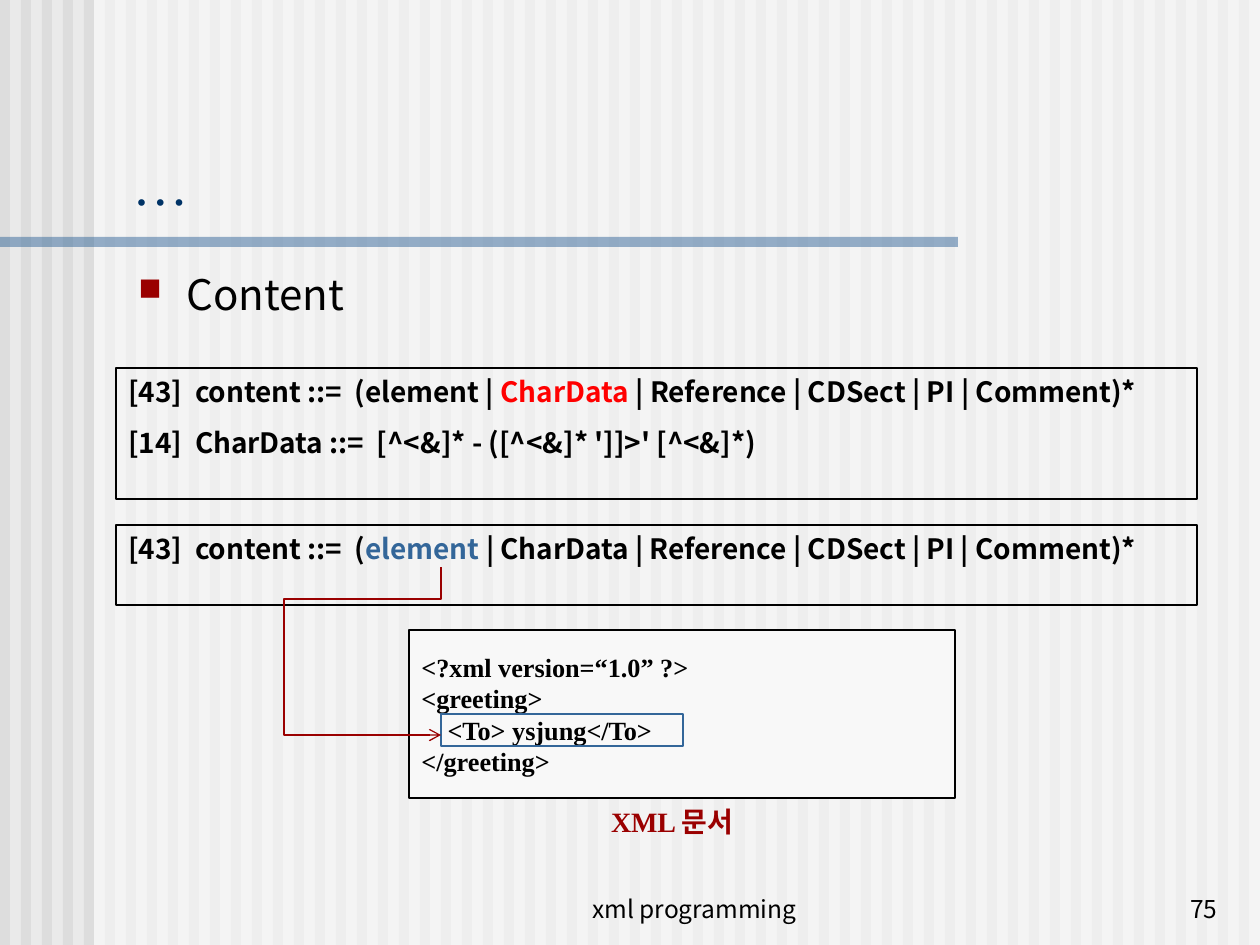
from lxml import etree
from pptx import Presentation, util as u
from pptx.dml.color import RGBColor
from pptx.enum import shapes, text
from pptx.oxml.ns import qn

EMU_PER_PX = 914400 / 126
WIDTH, HEIGHT = 1260, 945
SANS, SERIF = "Noto Sans CJK KR", "Times New Roman"
COLOURS = {
    "ground": "EAEAEA", "stripe": "DDDDDD", "white": "FFFFFF", "blue": "336699",
    "navy": "003366", "red": "9A0000", "bright": "FF0000", "black": "000000",
    "paper": "F8F8F8",
}
STRIPE_COUNT, STRIPE_PITCH, STRIPE_WIDTH = 60, 21, 10
VEILS = [((94, 0, 1166, 945), "white"), ((0, 237, 958, 10), "blue")]

LABELS = [
    {"at": (495, 867, 399, 63), "lines": ["xml programming"], "size": 14,
     "anchor": "BOTTOM", "align": "CENTER"},
    {"at": (968, 867, 262, 63), "lines": ["75"], "size": 14,
     "anchor": "BOTTOM", "align": "RIGHT"},
    {"at": (120, 118, 1125, 105), "lines": ["…"], "size": 32, "font": SERIF,
     "colour": "navy", "anchor": "BOTTOM"},
    {"at": (126, 262, 1118, 577), "lines": ["Content"], "size": 24, "bullet": "red"},
    {"at": (588, 798, 168, 47), "lines": ["XML 문서"], "size": 16, "font": SERIF,
     "colour": "red", "bold": True, "align": "CENTER"},
]
PANELS = [
    {"at": (116, 368, 1081, 131), "size": 16, "bold": True, "gap": 10, "lines": [
        [("[43]  content ::=  (element | ", "black"), ("CharData ", "bright"),
         ("| Reference | CDSect | PI | Comment)*", "black")],
        "[14]  CharData ::=  [^<&]* - ([^<&]* ']]>' [^<&]*)"]},
    {"at": (116, 525, 1081, 80), "size": 16, "bold": True, "lines": [
        [("[43]  content ::=  (", "black"), ("element", "blue"),
         (" | CharData | Reference | CDSect | PI | Comment)*", "black")]]},
    {"at": (409, 630, 546, 168), "size": 15, "bold": True, "font": SERIF,
     "fill": "paper", "anchor": "MIDDLE", "lines": [
        "<?xml version=“1.0” ?>", "<greeting>", "    <To> ysjung</To>", "</greeting>"]},
]
ELEMENT_FRAME = (441, 714, 242, 32)
ELEMENT_ROUTE = [(441, 567), (441, 599), (284, 599), (284, 735), (441, 735)]


def px(value):
    return u.Emu(round(value * EMU_PER_PX))


def rgb(name):
    return RGBColor.from_string(COLOURS[name])


def paint(shape, fill=None, line=None, alpha=None):
    shape.shadow.inherit = False
    if fill:
        shape.fill.solid()
        shape.fill.fore_color.rgb = rgb(fill)
        if alpha:
            colour = shape._element.spPr.find(f"{qn('a:solidFill')}/{qn('a:srgbClr')}")
            etree.SubElement(colour, qn("a:alpha"), val=str(alpha * 1000))
    else:
        shape.fill.background()
    if line:
        shape.line.color.rgb = rgb(line)
        shape.line.width = u.Pt(0.75)
    else:
        shape.line.fill.background()


def add_rect(page, at, **style):
    rect = page.shapes.add_shape(shapes.MSO_SHAPE.RECTANGLE, *map(px, at))
    paint(rect, **style)
    return rect


def add_bullet(para, colour):
    props = para._p.get_or_add_pPr()
    props.set("marL", str(px(48)))
    props.set("indent", str(-px(48)))
    holder = etree.SubElement(props, qn("a:buClr"))
    etree.SubElement(holder, qn("a:srgbClr"), val=COLOURS[colour])
    etree.SubElement(props, qn("a:buSzPct"), val="75000")
    etree.SubElement(props, qn("a:buChar"), char="■")


def write(box, item):
    frame = box.text_frame
    frame.word_wrap = True
    frame.vertical_anchor = getattr(text.MSO_ANCHOR, item.get("anchor", "TOP"))
    for index, line in enumerate(item["lines"]):
        para = frame.add_paragraph() if index else frame.paragraphs[0]
        para.alignment = getattr(text.PP_ALIGN, item.get("align", "LEFT"))
        if index:
            para.space_before = u.Pt(item.get("gap", 0))
        if "bullet" in item:
            add_bullet(para, item["bullet"])
        para.font.size = u.Pt(item["size"])
        para.font.bold = item.get("bold", False)
        para.font.name = item.get("font", SANS)
        if isinstance(line, str):
            para.font.color.rgb = rgb(item.get("colour", "black"))
            para.add_run().text = line
        else:
            for words, colour in line:
                span = para.add_run()
                span.text = words
                span.font.color.rgb = rgb(colour)
        defaults = para._p.pPr.find(qn("a:defRPr"))
        etree.SubElement(defaults, qn("a:ea"), typeface=SANS)


def add_route(page, points):
    builder = page.shapes.build_freeform(*points[0], scale=EMU_PER_PX)
    builder.add_line_segments(points[1:], close=False)
    route = builder.convert_to_shape()
    paint(route, line="red")
    etree.SubElement(route.line._get_or_add_ln(), qn("a:tailEnd"), type="arrow")


def main():
    deck = Presentation()
    deck.slide_width, deck.slide_height = px(WIDTH), px(HEIGHT)
    page = deck.slides.add_slide(deck.slide_layouts[6])
    page.background.fill.solid()
    page.background.fill.fore_color.rgb = rgb("ground")

    for index in range(STRIPE_COUNT):
        add_rect(page, (index * STRIPE_PITCH, 0, STRIPE_WIDTH, HEIGHT), fill="stripe")
    for at, colour in VEILS:
        add_rect(page, at, fill=colour, alpha=50)
    for label in LABELS:
        write(page.shapes.add_textbox(*map(px, label["at"])), label)
    for panel in PANELS:
        write(add_rect(page, panel["at"], fill=panel.get("fill"), line="black"), panel)
    add_rect(page, ELEMENT_FRAME, line="blue")
    add_route(page, ELEMENT_ROUTE)
    deck.save("out.pptx")


if __name__ == "__main__":
    main()
